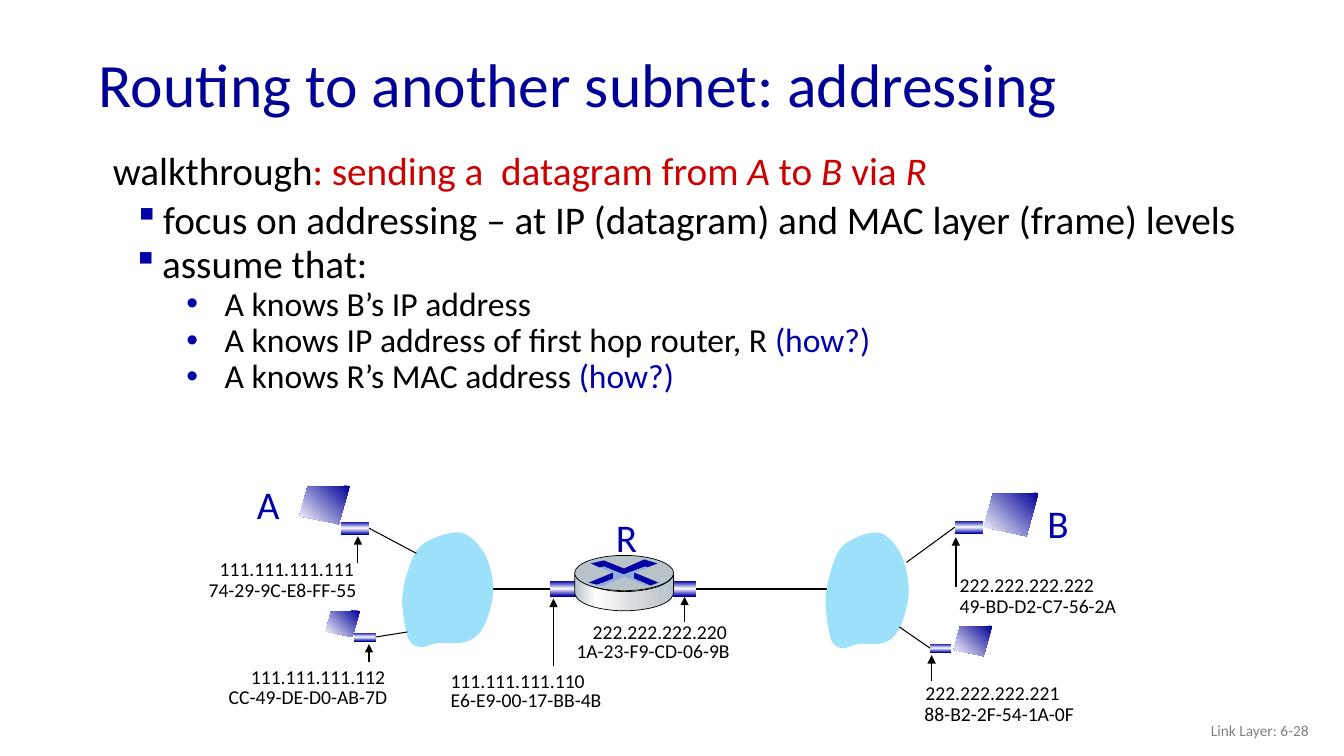
from lxml import etree
from pptx import Presentation
from pptx.dml.color import RGBColor
from pptx.enum.shapes import MSO_CONNECTOR, MSO_SHAPE
from pptx.enum.text import MSO_ANCHOR, MSO_AUTO_SIZE, PP_ALIGN
from pptx.oxml.ns import qn
from pptx.util import Inches, Pt

COLORS = {
    "title": "000099", "blue": "0000A8", "red": "CC0000", "black": "000000",
    "gray": "808080", "cloud": "9CE0FA", "white": "FFFFFF", "steel": "B8C2C9",
    "pale": "D6DCE0", "cross": "0000A3", "glow": "8FAADC",
}
BANDS = [(0, "blue"), (50, "white"), (99, "blue")]
SCREEN_SHADE = [(0, "title"), (100, "white")]
METAL = [(0, "steel"), (21, "white"), (60, "pale"), (100, "steel")]
SQUARE, DOT = ("Wingdings", "§"), ("Arial", "•")

# Outlines are in hundredths of an inch; six numbers make a cubic curve.
CLOUD = [
    (28, 10), (20, 14, 16, 18, 12, 26), (8, 35, 3, 50, 2, 59), (0, 69, 1, 76, 2, 84),
    (3, 92, 5, 102, 7, 108), (10, 113, 13, 115, 18, 116), (23, 117, 28, 113, 36, 112),
    (43, 111, 56, 113, 63, 111), (71, 109, 76, 105, 81, 97), (85, 90, 90, 75, 91, 64),
    (92, 52, 89, 37, 84, 26), (79, 16, 70, 6, 61, 3), (52, 0, 36, 6, 28, 10),
]
SCREEN = [(50, 0), (8, 1), (0, 30), (39, 38)]
ROUTER_BODY = [
    (98, 19), (98, 38), (95, 51, 66, 55, 49, 55), (33, 55, 3, 51, 0, 38),
    (0, 19), (4, 30, 32, 36, 49, 36), (65, 36, 94, 32, 98, 19),
]
ROUTER_MARKS = [
    ([(69, 4), (82, 8), (72, 12), (70, 11), (48, 19), (29, 11), (25, 12), (16, 8),
      (29, 5), (49, 13)], "cross"),
    ([(59, 17), (83, 27), (75, 30), (59, 23)], "cross"),
    ([(38, 17), (38, 24), (22, 29), (14, 27)], "blue"),
    ([(25, 12), (29, 11), (49, 19), (70, 11), (73, 12), (59, 17), (59, 23), (75, 30),
      (71, 30), (49, 21), (26, 31), (23, 29), (38, 23), (38, 17)], "glow"),
]
SCREENS = [(2.97, 4.82, 0.5, 0.38), (3.23, 6.06, 0.34, 0.26),
           (9.76, 4.89, 0.54, 0.43), (9.46, 6.21, 0.38, 0.3)]
HOST_LINKS = [
    ((3.52, 5.24, 0.28, 0.13), 3, (4.13, 5.49)),
    ((3.62, 6.32, 0.21, 0.09), 3, (4.04, 6.27)),
    ((9.61, 5.23, 0.28, 0.13), 1, (8.99, 5.58)),
    ((9.33, 6.43, 0.21, 0.09), 1, (8.92, 6.22)),
]
NODE_NAMES = [("A", 2.45, 4.72), ("R", 6.01, 5.04), ("B", 10.29, 4.9)]
ADDRESSES = [
    ("111.111.111.111", 2.08, 5.48, 1.55), ("74-29-9C-E8-FF-55", 1.97, 5.68, 1.68),
    ("111.111.111.112", 2.39, 6.55, 1.55), ("CC-49-DE-D0-AB-7D", 2.17, 6.75, 1.79),
    ("111.111.111.110", 4.37, 6.59, 1.55), ("E6-E9-00-17-BB-4B", 4.37, 6.78, 1.71),
    ("222.222.222.220", 5.78, 6.1, 1.55), ("1A-23-F9-CD-06-9B", 5.62, 6.29, 1.73),
    ("222.222.222.222", 9.42, 5.63, 1.55), ("49-BD-D2-C7-56-2A", 9.42, 5.84, 1.77),
    ("222.222.222.221", 9.08, 6.71, 1.55), ("88-B2-2F-54-1A-0F", 9.07, 6.91, 1.7),
]
ARROWS = [(3.55, 5.59, 5.32, 0.75), (3.66, 6.57, 6.39, 0.75), (5.49, 6.61, 5.94, 0.75),
          (6.79, 6.17, 5.92, 0.75), (9.48, 5.82, 5.33, 1), (9.24, 6.76, 6.5, 1)]


def rgb(name):
    return RGBColor.from_string(COLORS[name])


def style_run(r, size, color, italic=False):
    r.font.name = "Calibri"
    r.font.size = Pt(size)
    r.font.color.rgb = rgb(color)
    if italic:
        r.font.italic = True


def add_runs(p, size, runs):
    for text, color, *italic in runs:
        r = p.add_run()
        r.text = text
        style_run(r, size, color, bool(italic))


def add_box(slide, x, y, w, h, wrap=True):
    tf = slide.shapes.add_textbox(Inches(x), Inches(y), Inches(w), Inches(h)).text_frame
    tf.word_wrap = wrap
    return tf


def add_label(slide, text, x, y, w, h, size, color):
    tf = add_box(slide, x, y, w, h, False)
    tf.auto_size = MSO_AUTO_SIZE.SHAPE_TO_FIT_TEXT
    add_runs(tf.paragraphs[0], size, [(text, color)])


def format_item(p, level, margin, indent, before=0, bullet=None):
    p.level = level
    pPr = p._p.get_or_add_pPr()
    pPr.set("marL", str(Inches(margin)))
    pPr.set("indent", str(Inches(indent)))
    if bullet:
        font, char = bullet
        clr = etree.SubElement(pPr, qn("a:buClr"))
        etree.SubElement(clr, qn("a:srgbClr"), val=COLORS["blue"])
        etree.SubElement(pPr, qn("a:buFont"), typeface=font)
        etree.SubElement(pPr, qn("a:buChar"), char=char)
    p.line_spacing = 0.9
    p.space_before = Pt(before)


def set_gradient(sp, stops, angle):
    sp.fill.background()
    spPr = sp._element.spPr
    grad = etree.Element(qn("a:gradFill"), rotWithShape="1")
    gs_list = etree.SubElement(grad, qn("a:gsLst"))
    for pos, color in stops:
        gs = etree.SubElement(gs_list, qn("a:gs"), pos=str(pos * 1000))
        etree.SubElement(gs, qn("a:srgbClr"), val=COLORS[color])
    etree.SubElement(grad, qn("a:lin"), ang=str(angle * 60000), scaled="0")
    spPr.replace(spPr.find(qn("a:noFill")), grad)


def paint(sp, fill, angle=0, outline=False):
    sp.shadow.inherit = False
    if isinstance(fill, str):
        sp.fill.solid()
        sp.fill.fore_color.rgb = rgb(fill)
    else:
        set_gradient(sp, fill, angle)
    if outline:
        sp.line.color.rgb = rgb("black")
        sp.line.width = Pt(0.5)
    else:
        sp.line.fill.background()


def add_outline(slide, path, x, y, sx=1, sy=1):
    def place(px, py):
        return Inches(x + px * sx / 100), Inches(y + py * sy / 100)

    ends = [place(*seg[-2:]) for seg in path]
    builder = slide.shapes.build_freeform(*ends[0])
    builder.add_line_segments(ends[1:], close=True)
    sp = builder.convert_to_shape()
    lines = list(sp._element.iter(qn("a:lnTo")))
    for line, seg in zip(lines, path[1:]):
        if len(seg) == 6:
            curve = etree.Element(qn("a:cubicBezTo"))
            for i in (0, 2, 4):
                px, py = place(*seg[i:i + 2])
                etree.SubElement(curve, qn("a:pt"), x=str(px - sp.left), y=str(py - sp.top))
            line.getparent().replace(line, curve)
    return sp


def add_line(slide, x1, y1, x2, y2, width, arrow=False):
    line = slide.shapes.add_connector(
        MSO_CONNECTOR.STRAIGHT, Inches(x1), Inches(y1), Inches(x2), Inches(y2))
    line.line.color.rgb = rgb("black")
    line.line.width = Pt(width)
    if arrow:
        etree.SubElement(line.line._get_or_add_ln(), qn("a:tailEnd"), type="triangle")
    etree.SubElement(line._element.spPr, qn("a:effectLst"))
    return line


def add_interface(slide, cx, cy, w, h):
    sp = slide.shapes.add_shape(MSO_SHAPE.RECTANGLE, Inches(cx - w / 2),
                                Inches(cy - h / 2), Inches(w), Inches(h))
    paint(sp, BANDS, 90)
    return sp


def add_router(slide, x, y):
    for cx in (x - 0.1, x + 1.06):
        add_interface(slide, cx, y + 0.33, 0.28, 0.15)
    paint(add_outline(slide, ROUTER_BODY, x, y), METAL, outline=True)
    top = slide.shapes.add_shape(MSO_SHAPE.OVAL, Inches(x), Inches(y),
                                 Inches(0.98), Inches(0.35))
    paint(top, "steel", outline=True)
    for path, color in ROUTER_MARKS:
        paint(add_outline(slide, path, x, y), color)


def add_network(slide):
    add_line(slide, 4.7, 5.84, 8.23, 5.84, 1.25)
    for x, w, h in ((3.98, 0.92, 1.17), (8.18, 0.84, 1.18)):
        paint(add_outline(slide, CLOUD, x, 5.26, w / 0.92, h / 1.17), "cloud")
    add_router(slide, 5.7, 5.51)
    for box, side, (x, y) in HOST_LINKS:
        interface = add_interface(slide, *box)
        add_line(slide, box[0], box[1], x, y, 0.75).begin_connect(interface, side)
    for x, y, w, h in SCREENS:
        paint(add_outline(slide, SCREEN, x, y, w / 0.5, h / 0.38), SCREEN_SHADE, 135)
    for name, x, y in NODE_NAMES:
        add_label(slide, name, x, y, 0.42, 0.57, 28, "blue")
    for text, x, y, w in ADDRESSES:
        add_label(slide, text, x, y, w, 0.34, 14, "black")
    for x, start, end, width in ARROWS:
        add_line(slide, x, start, x, end, width, arrow=True)


def add_title(slide, text):
    title = slide.shapes.title
    title.left, title.top, title.width, title.height = map(Inches, (0.88, 0.38, 11.5, 0.98))
    tf = title.text_frame
    tf.text = text
    tf.vertical_anchor = MSO_ANCHOR.MIDDLE
    p = tf.paragraphs[0]
    p.alignment = PP_ALIGN.LEFT
    p.line_spacing = 0.9
    style_run(p.runs[0], 44, "title")


def add_walkthrough(slide):
    tf = add_box(slide, 1.02, 1.45, 11.85, 1.31)
    p = tf.paragraphs[0]
    format_item(p, 0, 0.12, -0.12)
    add_runs(p, 28, [("walkthrough", "black"), (": sending a  datagram from ", "red"),
                     ("A", "red", True), (" to ", "red"), ("B", "red", True),
                     (" via ", "red"), ("R", "red", True)])
    p = tf.add_paragraph()
    format_item(p, 1, 0.5, -0.25, 5, SQUARE)
    add_runs(p, 28, [("focus on addressing – at IP (datagram) and MAC layer (frame) levels",
                      "black")])

    tf = add_box(slide, 1.01, 2.38, 11.15, 1.73)
    p = tf.paragraphs[0]
    format_item(p, 1, 0.5, -0.25, 0, SQUARE)
    add_runs(p, 28, [("assume that:", "black")])
    how = ("(how?)", "blue")
    for runs in ([("A knows B’s IP address", "black")],
                 [("A knows IP address of first hop router, R ", "black"), how],
                 [("A knows R’s MAC address ", "black"), how]):
        p = tf.add_paragraph()
        format_item(p, 2, 1.12, -0.38, 0, DOT)
        add_runs(p, 24, runs)


def add_footer(slide, text):
    tf = add_box(slide, 10.08, 7.05, 3, 0.4)
    tf.vertical_anchor = MSO_ANCHOR.MIDDLE
    p = tf.paragraphs[0]
    p.alignment = PP_ALIGN.RIGHT
    add_runs(p, 11, [(text, "gray")])


def main():
    prs = Presentation()
    prs.slide_width, prs.slide_height = Inches(13.33), Inches(7.5)
    slide = prs.slides.add_slide(prs.slide_layouts[5])
    add_title(slide, "Routing to another subnet: addressing")
    add_footer(slide, "Link Layer: 6-28")
    add_walkthrough(slide)
    add_network(slide)
    prs.save("out.pptx")


if __name__ == "__main__":
    main()
